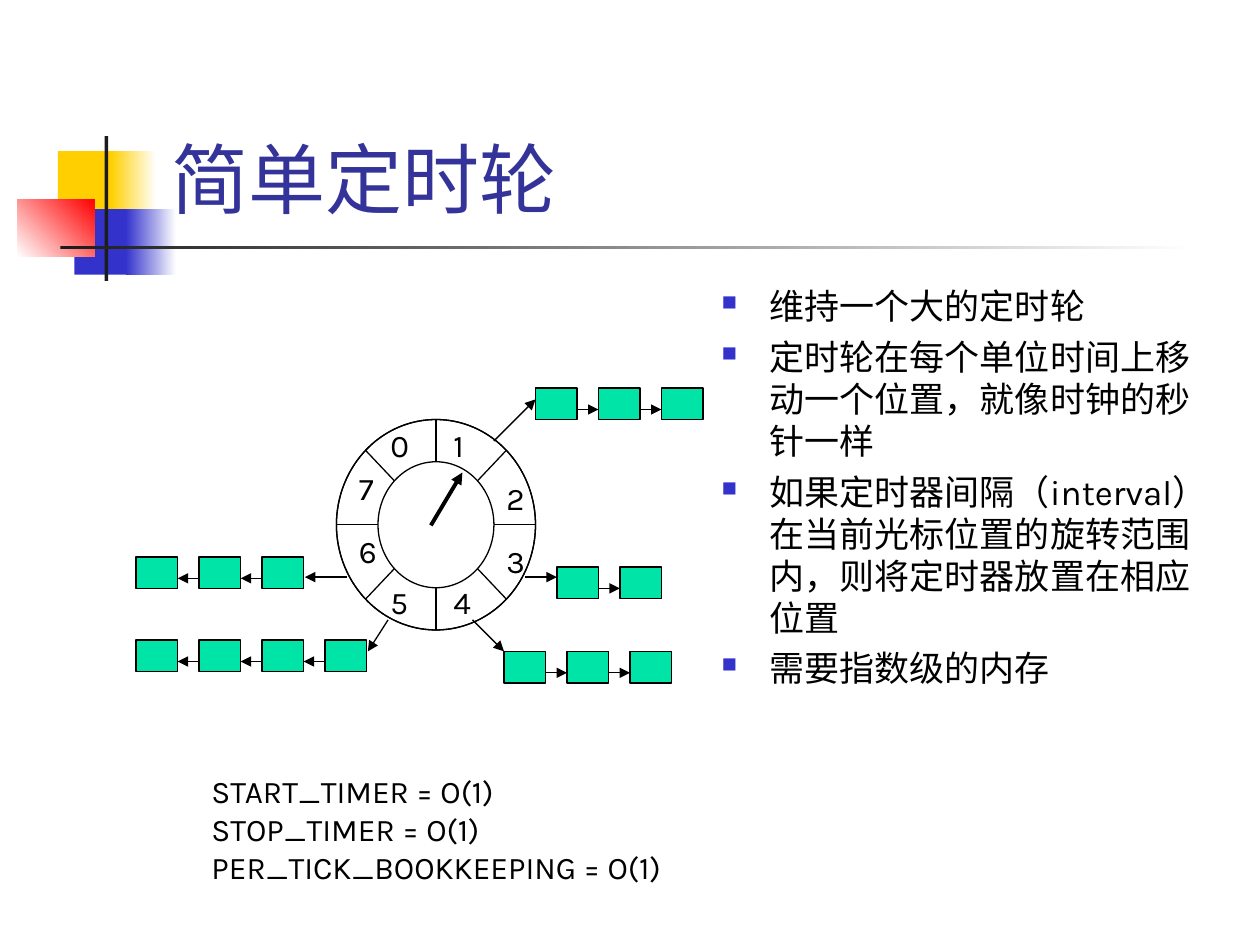
from lxml import etree
from pptx import Presentation
from pptx.dml.color import RGBColor
from pptx.enum import shapes, text
from pptx.oxml import ns
from pptx.util import Inches, Pt

BLACK = RGBColor(0x00, 0x00, 0x00)
WHITE = RGBColor(0xFF, 0xFF, 0xFF)
YELLOW = RGBColor(0xFF, 0xCF, 0x01)
BLUE = RGBColor(0x33, 0x33, 0xCC)
RED = RGBColor(0xFF, 0x00, 0x00)
CHARCOAL = RGBColor(0x1C, 0x1C, 0x1C)
NAVY = RGBColor(0x33, 0x33, 0x99)
GREEN = RGBColor(0x00, 0xE4, 0xA8)
FONT = "Karla"
SHAPE = shapes.MSO_SHAPE

TIMER_WIDTH, TIMER_HEIGHT, TIMER_STEP, LINK_DROP = 0.33, 0.25, 0.5, 0.17


def inches(values):
    return [Inches(value) for value in values]


def add_shape(page, kind, box, fill=None, outlined=True):
    shape = page.shapes.add_shape(kind, *inches(box))
    shape.shadow.inherit = False
    if fill is None:
        shape.fill.background()
    else:
        shape.fill.solid()
        shape.fill.fore_color.rgb = fill
    if outlined:
        shape.line.color.rgb = BLACK
        shape.line.width = Pt(0.75)
    else:
        shape.line.fill.background()
    return shape


def add_fade(page, box, start, end, angle=0):
    shape = add_shape(page, SHAPE.RECTANGLE, box, outlined=False)
    shape.fill.gradient()
    shape.fill.gradient_angle = angle
    for stop, colour in zip(shape.fill.gradient_stops, (start, end)):
        stop.color.rgb = colour


def add_arrow(page, start, end, width=0.75):
    arrow = page.shapes.add_connector(
        shapes.MSO_CONNECTOR.STRAIGHT, *inches(start + end))
    arrow.line.color.rgb = BLACK
    arrow.line.width = Pt(width)
    properties = arrow._element.spPr
    outline = properties.find(ns.qn("a:ln"))
    etree.SubElement(outline, ns.qn("a:tailEnd"), type="triangle")
    etree.SubElement(properties, ns.qn("a:effectLst"))


def add_text(page, box, lines, size, colour=BLACK, wrap=True,
             anchor=text.MSO_ANCHOR.TOP):
    frame = page.shapes.add_textbox(*inches(box)).text_frame
    for name, value in {"word_wrap": wrap, "vertical_anchor": anchor}.items():
        setattr(frame, name, value)
    for index, line in enumerate(lines):
        para = frame.add_paragraph() if index else frame.paragraphs[0]
        span = para.add_run()
        span.text = line
        for name, value in {"name": FONT, "size": Pt(size)}.items():
            setattr(span.font, name, value)
        span.font.color.rgb = colour
    return frame


def add_bullet(para):
    para.space_before = Pt(5)
    properties = para._p.get_or_add_pPr()
    properties.set("marL", str(Inches(0.38)))
    properties.set("indent", str(Inches(-0.38)))
    colour = etree.SubElement(properties, ns.qn("a:buClr"))
    etree.SubElement(colour, ns.qn("a:srgbClr"), val=str(BLUE))
    etree.SubElement(properties, ns.qn("a:buSzPct"), val="60000")
    etree.SubElement(properties, ns.qn("a:buChar"), char="■")


def add_ornament(page, left, top):
    def at(x, y, width, height):
        return left + x, top + y, width, height

    add_shape(page, SHAPE.RECTANGLE, at(0.32, 0.12, 0.48, 0.52), YELLOW, False)
    add_fade(page, at(0.74, 0.12, 0.36, 0.52), YELLOW, WHITE)
    add_shape(page, SHAPE.RECTANGLE, at(0.45, 0.58, 0.46, 0.52), BLUE, False)
    add_fade(page, at(0.86, 0.58, 0.4, 0.52), BLUE, WHITE)
    add_fade(page, at(0, 0.5, 0.61, 0.46), WHITE, RED, 45)
    add_shape(page, SHAPE.RECTANGLE, at(0.69, 0, 0.03, 1.15), CHARCOAL, False)
    add_fade(page, at(0.34, 0.87, 9, 0.03), CHARCOAL, WHITE)


def add_title(page, box):
    add_text(page, box, ["简单定时轮"], 44, NAVY, anchor=text.MSO_ANCHOR.BOTTOM)


def add_points(page, box):
    frame = add_text(page, box, [
        "维持一个大的定时轮",
        "定时轮在每个单位时间上移动一个位置，就像时钟的秒针一样",
        "如果定时器间隔（interval）在当前光标位置的旋转范围内，则将定时器放置在相应位置",
        "需要指数级的内存",
    ], 20)
    for para in frame.paragraphs:
        add_bullet(para)


def add_wheel(page, box):
    left, top, width, height = box
    for kind in (SHAPE.FLOWCHART_SUMMING_JUNCTION, SHAPE.FLOWCHART_OR):
        add_shape(page, kind, box)
    hub_width, hub_height = 0.92, 1
    add_shape(page, SHAPE.OVAL,
              (left + (width - hub_width) / 2, top + (height - hub_height) / 2,
               hub_width, hub_height), WHITE)
    add_arrow(page, (left + 0.75, top + 0.84), (left + 1, top + 0.42), 2.25)
    slots = [(0.33, 0), (0.83, 0), (1.25, 0.42), (1.25, 0.92),
             (0.83, 1.25), (0.33, 1.25), (0.08, 0.84), (0.08, 0.34)]
    for number, (x, y) in enumerate(slots):
        add_text(page, (left + x, top + y, 0.34, 0.4), [str(number)], 18,
                 wrap=False)


def add_chain(page, left, top, count, direction, source, target):
    add_arrow(page, source, target)
    for index in range(count):
        x = left + direction * index * TIMER_STEP
        add_shape(page, SHAPE.RECTANGLE,
                  (x, top, TIMER_WIDTH, TIMER_HEIGHT), GREEN)
        if index < count - 1:
            start = x + TIMER_WIDTH if direction > 0 else x
            end = start + direction * (TIMER_STEP - TIMER_WIDTH)
            add_arrow(page, (start, top + LINK_DROP), (end, top + LINK_DROP))


def add_chains(page):
    add_chain(page, 4.25, 3.08, 3, 1, (3.92, 3.5), (4.25, 3.17))
    add_chain(page, 4.42, 4.5, 2, 1, (4.17, 4.58), (4.42, 4.58))
    add_chain(page, 4, 5.17, 3, 1, (3.75, 4.92), (4, 5.17))
    add_chain(page, 2.58, 5.08, 4, -1, (3.08, 4.92), (2.92, 5.17))
    add_chain(page, 2.08, 4.42, 3, -1, (2.75, 4.58), (2.42, 4.58))


def add_costs(page, box):
    operations = ("START_TIMER", "STOP_TIMER", "PER_TICK_BOOKKEEPING")
    add_text(page, box, [f"{name} = O(1)" for name in operations], 18)


def main():
    deck = Presentation()
    deck.slide_width, deck.slide_height = Inches(10), Inches(7.5)
    page = deck.slides.add_slide(deck.slide_layouts[6])
    add_ornament(page, 0.14, 1.08)
    add_title(page, (1.26, 0.23, 8.52, 1.6))
    add_points(page, (5.63, 2.21, 4.17, 4.5))
    add_wheel(page, (2.67, 3.33, 1.58, 1.67))
    add_chains(page)
    add_costs(page, (1.58, 6.08, 4, 1))
    deck.save("out.pptx")


if __name__ == "__main__":
    main()
